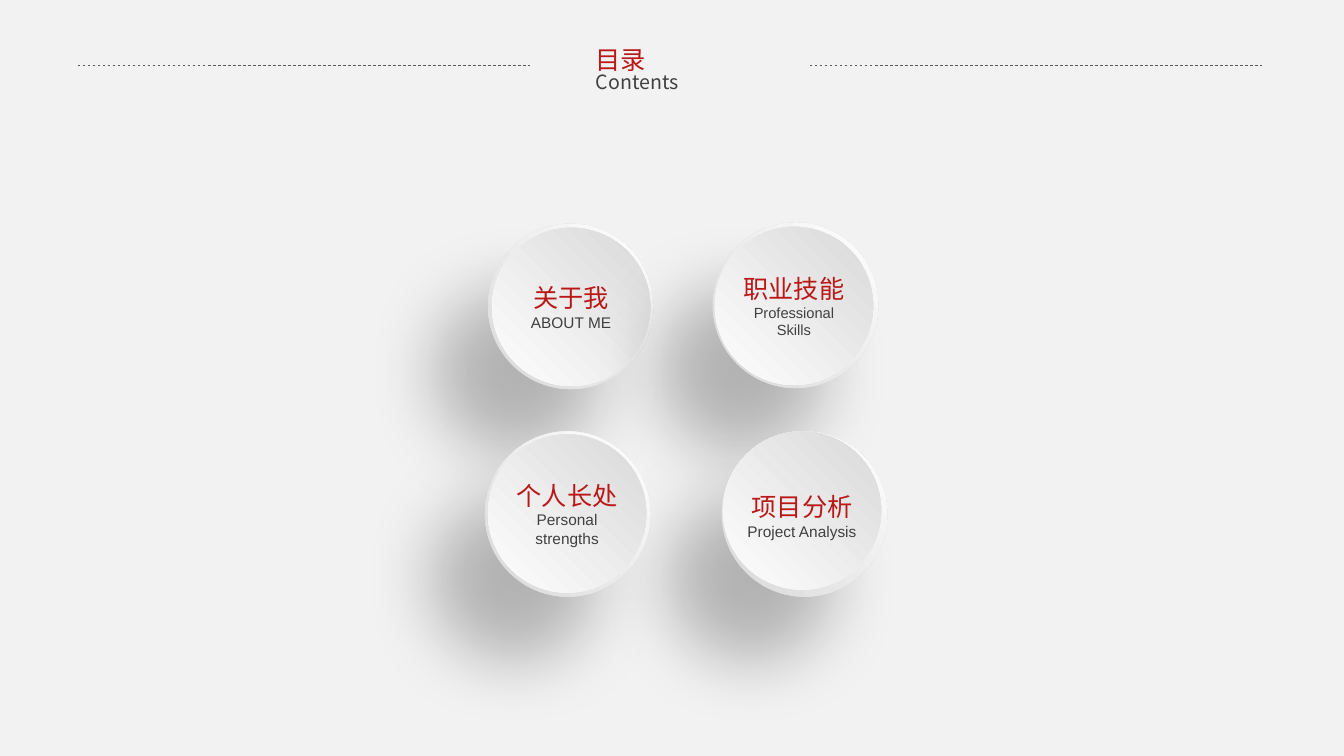
"""Build a contents slide with four raised discs and a ruled heading."""
import lxml.etree
import pptx
import pptx.dml.color
import pptx.enum.dml
import pptx.enum.shapes
import pptx.enum.text
import pptx.oxml.ns
import pptx.util

COLOURS = {"page": "F2F2F2", "accent": "BB1717", "text": "404040", "rule": "595959",
           "white": "FFFFFF", "bright": "FEFEFE", "grey": "D9D9D9", "shadow": "000000"}
CHINESE_FONT, LATIN_FONT = "Noto Sans CJK SC", "Arial"
SLIDE_WIDTH, SLIDE_HEIGHT = 13.33, 7.5
HEADING = {"lines": [("目录", 18, "accent"), ("Contents", 14, "text")],
           "at": (5.81, 0.45, 1.63, 0.4)}
RULE_LEFTS, RULE_LENGTH, RULE_TOP = (0.77, 8.03), 4.49, 0.65
RIM_SIZE, FACE_SIZE = 1.64, 1.57
DISCS = [
    {"title": "关于我", "subtitle": "ABOUT ME", "size": 11,
     "rim": (4.84, 2.22), "face": (4.88, 2.26), "drop": 0},
    {"title": "职业技能", "subtitle": "Professional Skills", "size": 10.5,
     "rim": (7.07, 2.21), "face": (7.09, 2.25), "drop": 0},
    {"title": "项目分析", "subtitle": "Project Analysis", "size": 11,
     "rim": (7.16, 4.28), "face": (7.17, 4.28), "drop": 0.11},
    {"title": "个人长处", "subtitle": "Personal strengths", "size": 11,
     "rim": (4.81, 4.28), "face": (4.84, 4.31), "drop": 0},
]


def colour(name):
    """Return the named colour."""
    return pptx.dml.color.RGBColor.from_string(COLOURS[name])


def add_child(parent, tag, **attributes):
    """Append a DrawingML element and return it."""
    child = lxml.etree.SubElement(parent, pptx.oxml.ns.qn(tag))
    for key, value in attributes.items():
        child.set(key, str(value))
    return child


def write_text(box, lines, font=LATIN_FONT, align="LEFT", anchor="TOP",
               insets=(0.1, 0.05, 0.1, 0.05), spacing=1.0):
    """Write one paragraph for each (text, size, colour) line."""
    frame = box.text_frame
    frame.word_wrap = True
    frame.vertical_anchor = getattr(pptx.enum.text.MSO_ANCHOR, anchor)
    for side, inset in zip(("left", "top", "right", "bottom"), insets):
        setattr(frame, f"margin_{side}", pptx.util.Inches(inset))
    for index, (text, size, shade) in enumerate(lines):
        para = frame.add_paragraph() if index else frame.paragraphs[0]
        para.alignment = getattr(pptx.enum.text.PP_ALIGN, align)
        para.line_spacing = spacing
        span = para.add_run()
        span.text = text
        span.font.name = font
        span.font.size = pptx.util.Pt(size)
        span.font.color.rgb = colour(shade)
        add_child(span.font._element, "a:ea", typeface=CHINESE_FONT)


def add_circle(group, corner, size, shades):
    """Add a borderless circle shaded outwards from its top right corner."""
    circle = group.shapes.add_shape(pptx.enum.shapes.MSO_SHAPE.OVAL,
                                    *map(pptx.util.Inches, (*corner, size, size)))
    circle.fill.gradient()
    for stop, position, shade in zip(circle.fill.gradient_stops, (0, 1), shades):
        stop.position = position
        stop.color.rgb = colour(shade)
    gradient = circle._element.spPr.find(pptx.oxml.ns.qn("a:gradFill"))
    gradient.remove(gradient.find(pptx.oxml.ns.qn("a:lin")))
    shading = add_child(gradient, "a:path", path="circle")
    add_child(shading, "a:fillToRect", l=100000, b=100000)
    circle.line.fill.background()
    circle.shadow.inherit = False
    return circle


def cast_shadow(circle):
    """Give the circle a soft shadow towards the lower left."""
    effects = circle._element.spPr.find(pptx.oxml.ns.qn("a:effectLst"))
    shadow = add_child(effects, "a:outerShdw", blurRad=pptx.util.Pt(50),
                       dist=pptx.util.Pt(60), dir=130 * 60000, algn="ctr", rotWithShape=0)
    tint = add_child(shadow, "a:srgbClr", val=COLOURS["shadow"])
    add_child(tint, "a:alpha", val=25000)


def add_disc(page, disc):
    """Add a shadowed rim with a labelled face."""
    group = page.shapes.add_group_shape()
    cast_shadow(add_circle(group, disc["rim"], RIM_SIZE, ("white", "grey")))
    face = add_circle(group, disc["face"], FACE_SIZE, ("grey", "bright"))
    lines = [(disc["title"], 18, "accent"), (disc["subtitle"], disc["size"], "text")]
    write_text(face, lines, align="CENTER", anchor="MIDDLE",
               insets=(0, 0.05 + disc["drop"], 0, 0.05))


def add_rule(page, left):
    """Add one dashed heading rule."""
    ends = (left, RULE_TOP, left + RULE_LENGTH, RULE_TOP)
    rule = page.shapes.add_connector(pptx.enum.shapes.MSO_CONNECTOR.STRAIGHT,
                                     *map(pptx.util.Inches, ends))
    rule.line.color.rgb = colour("rule")
    rule.line.width = pptx.util.Pt(0.5)
    rule.line.dash_style = pptx.enum.dml.MSO_LINE.DASH
    add_child(rule._element.spPr, "a:effectLst")


def main():
    """Build and save the slide."""
    deck = pptx.Presentation()
    deck.slide_width = pptx.util.Inches(SLIDE_WIDTH)
    deck.slide_height = pptx.util.Inches(SLIDE_HEIGHT)
    page = deck.slides.add_slide(deck.slide_layouts[6])
    page.background.fill.solid()
    page.background.fill.fore_color.rgb = colour("page")
    heading = page.shapes.add_textbox(*map(pptx.util.Inches, HEADING["at"]))
    write_text(heading, HEADING["lines"], font=CHINESE_FONT, spacing=0.8)
    for left in RULE_LEFTS:
        add_rule(page, left)
    for disc in DISCS:
        add_disc(page, disc)
    deck.save("out.pptx")


if __name__ == "__main__":
    main()
